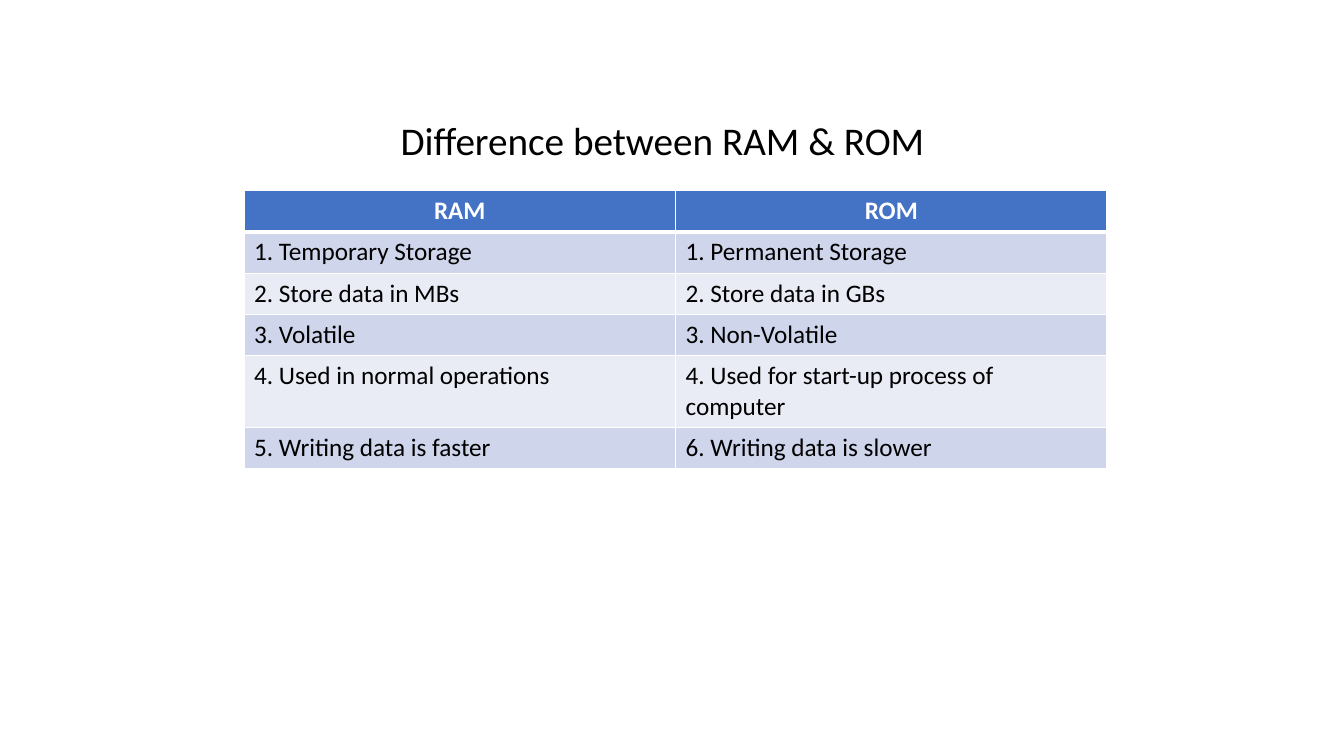
from lxml.etree import SubElement
from pptx import Presentation
from pptx.dml.color import RGBColor
from pptx.enum.text import PP_ALIGN as Align
from pptx.oxml.ns import qn
from pptx.util import Inches, Pt

WHITE = RGBColor(0xFF, 0xFF, 0xFF)
BLACK = RGBColor(0x00, 0x00, 0x00)
HEADER_BLUE = RGBColor(0x44, 0x72, 0xC4)
BAND_DARK = RGBColor(0xCF, 0xD5, 0xEA)
BAND_LIGHT = RGBColor(0xE9, 0xEB, 0xF5)

ROWS = [
    ("RAM", "ROM"),
    ("1. Temporary Storage", "1. Permanent Storage"),
    ("2. Store data in MBs", "2. Store data in GBs"),
    ("3. Volatile", "3. Non-Volatile"),
    ("4. Used in normal operations", "4. Used for start-up process of computer"),
    ("5. Writing data is faster", "6. Writing data is slower"),
]


def write_text(frame, text, size=18, color=BLACK, bold=False, align=Align.LEFT):
    """Put one formatted paragraph into a text frame."""
    frame.word_wrap = True
    paragraph = frame.paragraphs[0]
    paragraph.alignment = align
    run = paragraph.add_run()
    run.text = text
    run.font.name = "Calibri"
    run.font.size = Pt(size)
    run.font.bold = bold
    run.font.color.rgb = color


def set_borders(cell, **widths):
    """Draw white borders of the given point widths, keyed by side."""
    properties = cell._tc.get_or_add_tcPr()
    for side, width in widths.items():
        line = SubElement(properties, qn(f"a:ln{side}"), w=str(Pt(width)))
        fill = SubElement(line, qn("a:solidFill"))
        SubElement(fill, qn("a:srgbClr"), val=str(WHITE))


def add_title(slide, left, top, width, height):
    """Add the centred heading at the top of its box."""
    box = slide.shapes.add_textbox(left, top, width, height)
    write_text(box.text_frame, "Difference between RAM & ROM", size=28, align=Align.CENTER)


def add_comparison(slide, left, top, width, row_height):
    """Add the banded comparison table with a header row."""
    frame = slide.shapes.add_table(len(ROWS), len(ROWS[0]), left, top, width, row_height * len(ROWS))
    table = frame.table
    for row_index, texts in enumerate(ROWS):
        header = row_index == 0
        band = BAND_DARK if row_index % 2 else BAND_LIGHT
        for column_index, text in enumerate(texts):
            cell = table.cell(row_index, column_index)
            set_borders(cell, L=1, R=1, T=3 if row_index == 1 else 1, B=3 if header else 1)
            cell.fill.solid()
            cell.fill.fore_color.rgb = HEADER_BLUE if header else band
            write_text(
                cell.text_frame,
                text,
                color=WHITE if header else BLACK,
                bold=header,
                align=Align.CENTER if header else Align.LEFT,
            )


def main():
    """Build the slide and save it."""
    presentation = Presentation()
    presentation.slide_width = Inches(13.33)
    presentation.slide_height = Inches(7.5)
    slide = presentation.slides.add_slide(presentation.slide_layouts[6])
    add_comparison(slide, Inches(2.42), Inches(1.89), Inches(8.56), Inches(0.41))
    add_title(slide, Inches(0.82), Inches(1.1), Inches(11.5), Inches(4.76))
    presentation.save("out.pptx")


if __name__ == "__main__":
    main()
